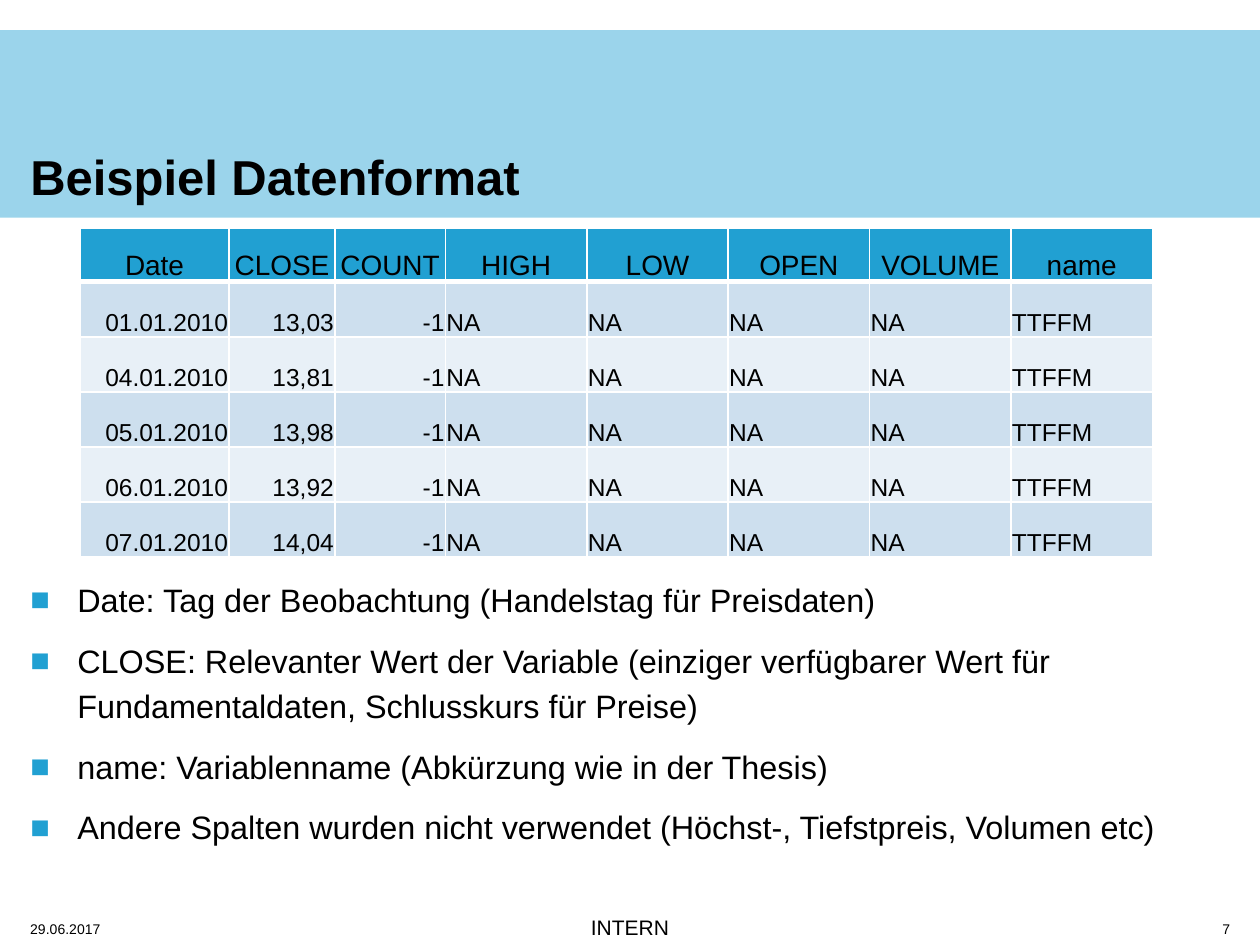
from lxml.etree import SubElement
from pptx import Presentation
from pptx.dml.color import RGBColor
from pptx.enum.shapes import MSO_SHAPE
from pptx.enum.text import MSO_ANCHOR, MSO_AUTO_SIZE, PP_ALIGN
from pptx.oxml.ns import qn
from pptx.util import Cm, Pt

FONT = "Arial"
BLACK = RGBColor(0x00, 0x00, 0x00)
WHITE = RGBColor(0xFF, 0xFF, 0xFF)
BAND_BLUE = RGBColor(0x9B, 0xD4, 0xEB)
ACCENT_BLUE = RGBColor(0x21, 0xA0, 0xD2)
ROW_DARK = RGBColor(0xCD, 0xDF, 0xEE)
ROW_LIGHT = RGBColor(0xE8, 0xF0, 0xF7)

MARGIN = 0.61
HEADERS = ["Date", "CLOSE", "COUNT", "HIGH", "LOW", "OPEN", "VOLUME", "name"]
PRICES = [("01.01.2010", "13,03"), ("04.01.2010", "13,81"), ("05.01.2010", "13,98"),
          ("06.01.2010", "13,92"), ("07.01.2010", "14,04")]
COLUMN_WIDTHS = [3.01, 2.13, 2.23] + [2.85] * 5
NUMBER_COLUMNS = 3
BULLETS = [
    "Date: Tag der Beobachtung (Handelstag für Preisdaten)",
    "CLOSE: Relevanter Wert der Variable (einziger verfügbarer Wert für "
    "Fundamentaldaten, Schlusskurs für Preise)",
    "name: Variablenname (Abkürzung wie in der Thesis)",
    "Andere Spalten wurden nicht verwendet (Höchst-, Tiefstpreis, Volumen etc)",
]


def place(shape, left, top, width, height):
    """Move and size a shape, in centimetres."""
    shape.left, shape.top = Cm(left), Cm(top)
    shape.width, shape.height = Cm(width), Cm(height)


def prepare_frame(frame, anchor):
    """Give a text frame no margins, wrapping and the given anchor."""
    frame.margin_left = frame.margin_right = frame.margin_top = frame.margin_bottom = 0
    frame.word_wrap = True
    frame.auto_size = MSO_AUTO_SIZE.NONE
    frame.vertical_anchor = anchor


def add_span(para, text, size, bold=False, align=PP_ALIGN.LEFT):
    """Add one formatted run to a paragraph."""
    para.alignment = align
    span = para.add_run()
    span.text = text
    span.font.name = FONT
    span.font.size = Pt(size)
    span.font.bold = bold
    span.font.color.rgb = BLACK


def add_title(page):
    """Fill the title and put the coloured band behind it."""
    title = page.shapes.title
    place(title, MARGIN, 1.78, 19.81, 2.36)
    prepare_frame(title.text_frame, MSO_ANCHOR.BOTTOM)
    add_span(title.text_frame.paragraphs[0], "Beispiel Datenformat", 28, bold=True)

    band = page.shapes.add_shape(MSO_SHAPE.RECTANGLE, 0, Cm(0.61), Cm(25.4), Cm(3.78))
    band.shadow.inherit = False
    band.fill.solid()
    band.fill.fore_color.rgb = BAND_BLUE
    band.line.fill.background()
    title.element.addprevious(band.element)


def add_bullet(para):
    """Give a paragraph a hanging square bullet."""
    props = para._p.get_or_add_pPr()
    props.set("marL", str(Cm(0.95)))
    props.set("indent", str(-Cm(0.95)))
    colour = SubElement(props, qn("a:buClr"))
    SubElement(colour, qn("a:srgbClr"), val=str(ACCENT_BLUE))
    SubElement(props, qn("a:buFont"), typeface=FONT)
    SubElement(props, qn("a:buChar"), char="■")


def add_bullets(page):
    """Fill the body placeholder with the column explanations."""
    body = page.placeholders[1]
    place(body, MARGIN, 11.58, 24.2, 6.43)
    frame = body.text_frame
    prepare_frame(frame, MSO_ANCHOR.TOP)
    for index, text in enumerate(BULLETS):
        para = frame.add_paragraph() if index else frame.paragraphs[0]
        para.line_spacing = 1.15
        para.space_before = Pt(0)
        para.space_after = Pt(9.25)
        add_bullet(para)
        add_span(para, text, 18.5)


def set_borders(cell, top, bottom):
    """Draw white cell borders; top and bottom are widths in points."""
    props = cell._tc.get_or_add_tcPr()
    widths = {"a:lnL": 1, "a:lnR": 1, "a:lnT": top, "a:lnB": bottom}
    for position, (tag, width) in enumerate(widths.items()):
        line = props.makeelement(qn(tag), {"w": str(Pt(width))})
        fill = SubElement(line, qn("a:solidFill"))
        SubElement(fill, qn("a:srgbClr"), val=str(WHITE))
        props.insert(position, line)


def fill_cell(cell, text, size, align, colour):
    """Write a table cell with its fill and margins."""
    cell.margin_left = cell.margin_right = cell.margin_top = Cm(0.02)
    cell.margin_bottom = 0
    cell.vertical_anchor = MSO_ANCHOR.BOTTOM
    cell.fill.solid()
    cell.fill.fore_color.rgb = colour
    add_span(cell.text_frame.paragraphs[0], text, size, align=align)


def add_price_table(page):
    """Add the sample data table."""
    rows = [HEADERS] + [[date, close, "-1"] + ["NA"] * 4 + ["TTFFM"]
                        for date, close in PRICES]
    heights = [1.07] + [1.11] * len(PRICES)
    table = page.shapes.add_table(len(rows), len(HEADERS), Cm(1.61), Cm(4.61),
                                  Cm(sum(COLUMN_WIDTHS)), Cm(sum(heights))).table
    table.horz_banding = False
    for column, width in zip(table.columns, COLUMN_WIDTHS):
        column.width = Cm(width)
    for r, values in enumerate(rows):
        table.rows[r].height = Cm(heights[r])
        for c, text in enumerate(values):
            cell = table.cell(r, c)
            if r == 0:
                fill_cell(cell, text, 16, PP_ALIGN.CENTER, ACCENT_BLUE)
            else:
                align = PP_ALIGN.RIGHT if c < NUMBER_COLUMNS else PP_ALIGN.LEFT
                fill_cell(cell, text, 14, align, ROW_DARK if r % 2 else ROW_LIGHT)
            set_borders(cell, 3 if r == 1 else 1, 3 if r == 0 else 1)


def add_footer(page, text, bounds, size, align):
    """Add one footer text box."""
    box = page.shapes.add_textbox(*[Cm(value) for value in bounds])
    prepare_frame(box.text_frame, MSO_ANCHOR.BOTTOM)
    add_span(box.text_frame.paragraphs[0], text, size, align=align)


def main():
    """Build the slide and save it."""
    deck = Presentation()
    deck.slide_width, deck.slide_height = Cm(25.4), Cm(19.05)
    page = deck.slides.add_slide(deck.slide_layouts[1])
    add_title(page)
    add_footer(page, "7", (22.8, 18.46, 2, 0.44), 8, PP_ALIGN.RIGHT)
    add_footer(page, "INTERN", (2.6, 18.66, 20.2, 0.28), 12, PP_ALIGN.CENTER)
    add_footer(page, "29.06.2017", (MARGIN, 18.46, 2, 0.44), 8, PP_ALIGN.LEFT)
    add_price_table(page)
    add_bullets(page)
    deck.save("out.pptx")


main()
